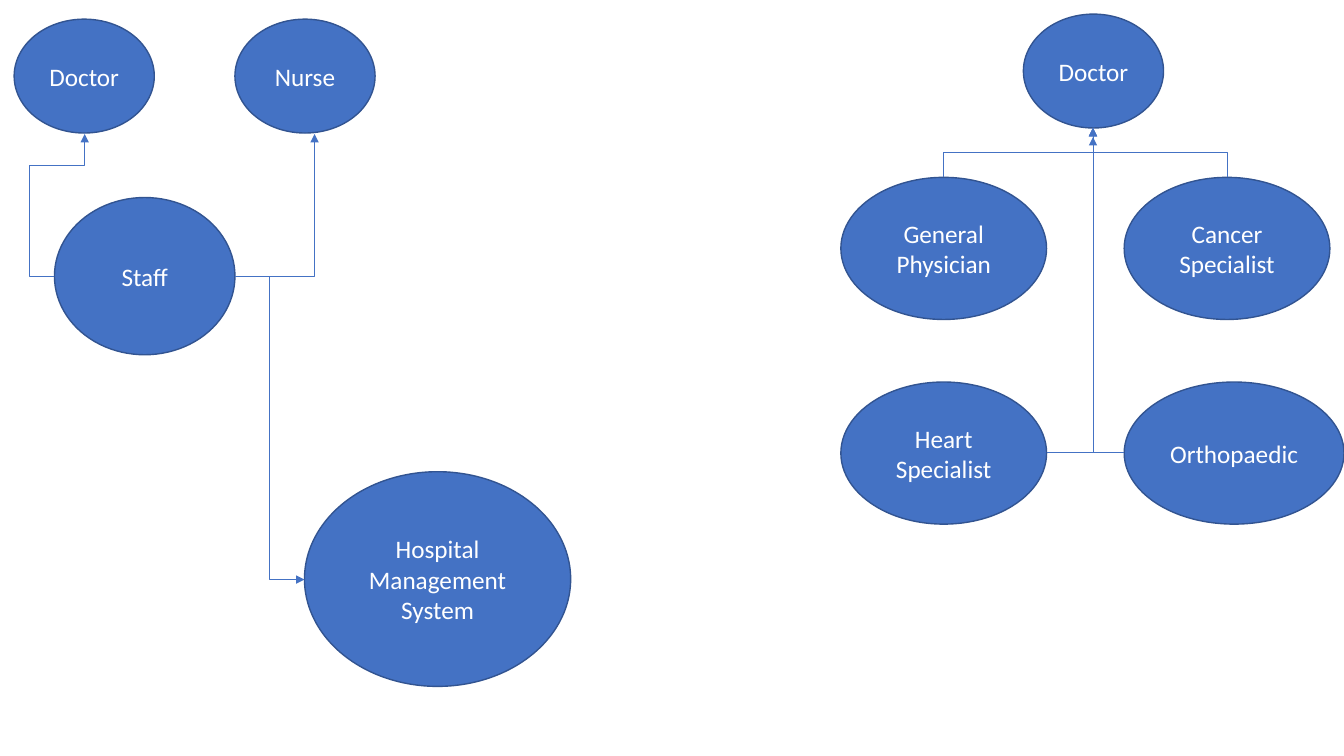
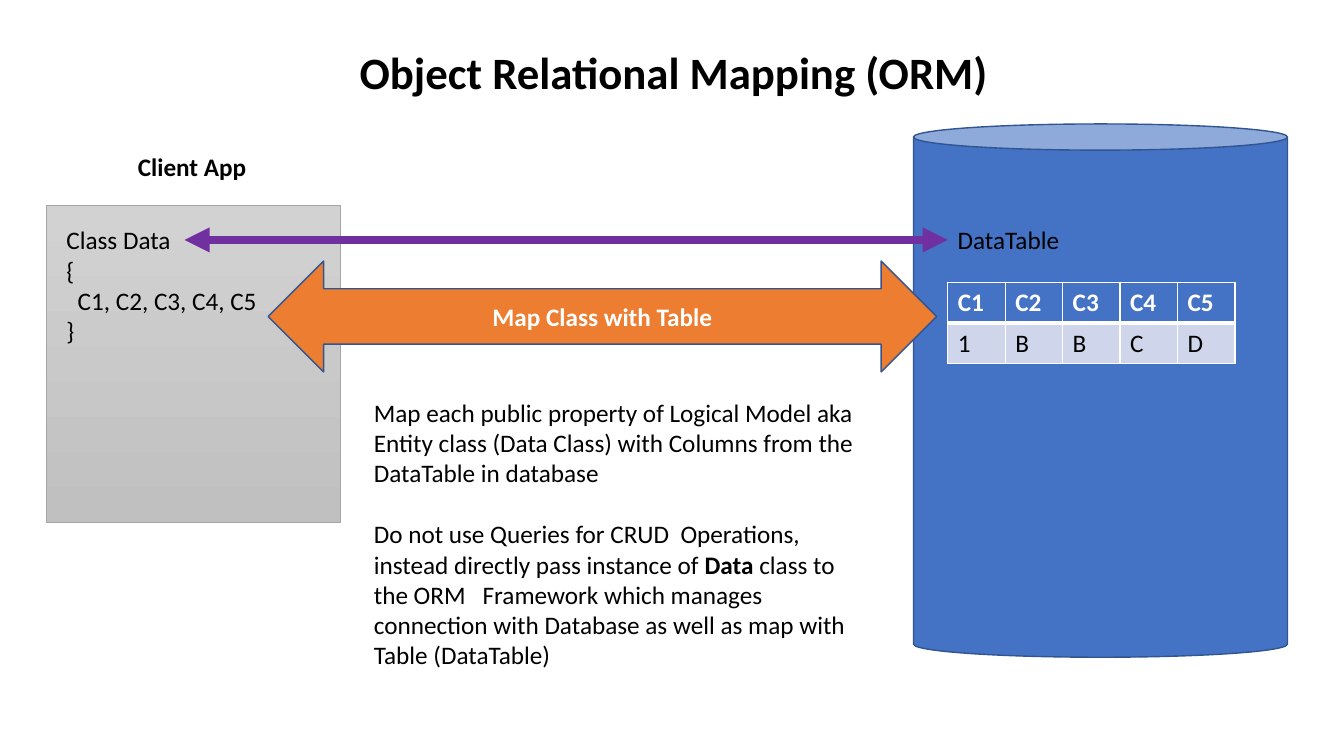
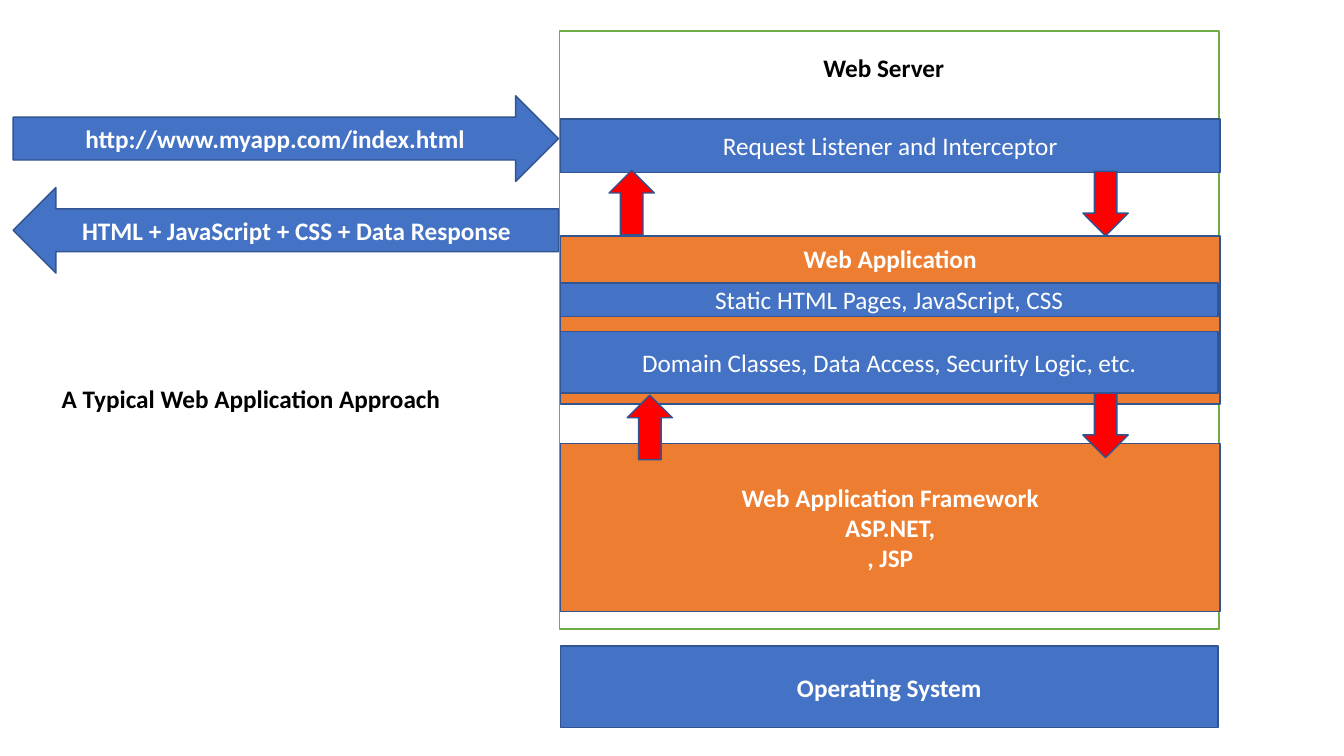
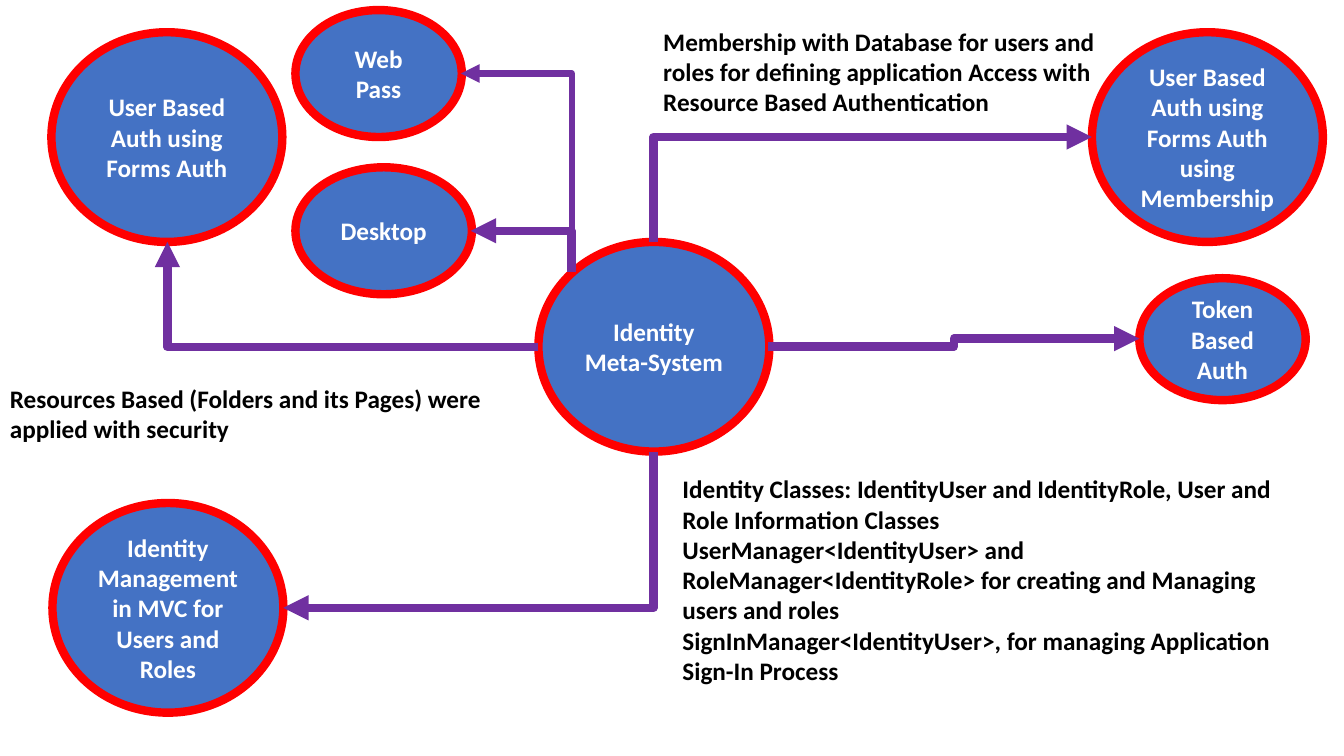
from dataclasses import dataclass
from typing import NamedTuple, Sequence, Union

from lxml import etree
from pptx import Presentation
from pptx import util as u
from pptx.dml import color as c
from pptx.enum import shapes as s
from pptx.enum import text as t
from pptx.oxml import ns

PX = 9144  # EMU in one px, 100 px to the inch
KIND = s.MSO_SHAPE


@dataclass(frozen=True)
class Theme:
    font: str = "Calibri"
    body: int = 18
    title: int = 32
    paragraph_gap: int = 22
    white: str = "FFFFFF"
    black: str = "000000"
    blue: str = "4472C4"
    navy: str = "325491"
    orange: str = "ED7D31"
    red: str = "FF0000"
    green: str = "70AD47"
    purple: str = "7030A0"
    gray: str = "A5A5A5"
    gray_light: str = "D2D2D2"
    gray_dark: str = "C0C0C0"
    row_tint: str = "CFD5EA"


THEME = Theme()


class Box(NamedTuple):
    left: int
    top: int
    width: int
    height: int


class Run(NamedTuple):
    text: str
    bold: bool = False


Paragraph = Union[str, Sequence[Run]]
Point = tuple[int, int]


@dataclass(frozen=True)
class Node:
    """A preset shape with optional centred text."""
    box: Box
    lines: Sequence[Paragraph] = ()
    kind: KIND = KIND.RECTANGLE
    fill: str = THEME.blue
    line: str = THEME.navy
    weight: float = 1
    bold: bool = False


@dataclass(frozen=True)
class Label:
    """A plain text box."""
    box: Box
    lines: Sequence[Paragraph]
    bold: bool = True
    size: int = THEME.body
    align: t.PP_ALIGN = t.PP_ALIGN.LEFT
    gap: int = 0


@dataclass(frozen=True)
class Elbow:
    """A bent connector through its corner points, arrow at the end."""
    points: Sequence[Point]
    line: str = THEME.purple
    weight: float = 6


# Shared drawing functions

def rgb(value: str) -> c.RGBColor:
    return c.RGBColor.from_string(value)


def emu(box: Box) -> list[int]:
    return [length * PX for length in box]


def write(frame, lines: Sequence[Paragraph], *, color: str = THEME.black,
          bold: bool = False, size: int = THEME.body,
          align: t.PP_ALIGN = t.PP_ALIGN.LEFT, gap: int = 0) -> None:
    for index, line in enumerate(lines):
        paragraph = frame.add_paragraph() if index else frame.paragraphs[0]
        paragraph.alignment = align
        if index and gap:
            paragraph.space_before = u.Pt(gap)
        for part in [Run(line, bold)] if isinstance(line, str) else line:
            run = paragraph.add_run()
            run.text = part.text
            run.font.name = THEME.font
            run.font.size = u.Pt(size)
            run.font.bold = part.bold
            run.font.color.rgb = rgb(color)


def draw_node(slide, node: Node):
    shape = slide.shapes.add_shape(node.kind, *emu(node.box))
    shape.shadow.inherit = False
    shape.fill.solid()
    shape.fill.fore_color.rgb = rgb(node.fill)
    shape.line.color.rgb = rgb(node.line)
    shape.line.width = u.Pt(node.weight)
    shape.text_frame.word_wrap = True
    write(shape.text_frame, node.lines, color=THEME.white, bold=node.bold,
          align=t.PP_ALIGN.CENTER)
    return shape


def draw_label(slide, label: Label):
    shape = slide.shapes.add_textbox(*emu(label.box))
    shape.text_frame.word_wrap = True
    shape.text_frame.auto_size = t.MSO_AUTO_SIZE.SHAPE_TO_FIT_TEXT
    write(shape.text_frame, label.lines, bold=label.bold, size=label.size,
          align=label.align, gap=label.gap)
    return shape


def style_connector(connector, color: str, weight: float,
                    ends: Sequence[str] = ("tailEnd",)) -> None:
    connector.line.color.rgb = rgb(color)
    connector.line.width = u.Pt(weight)
    properties = connector.element.spPr
    outline = properties.find(ns.qn("a:ln"))
    for end in ends:
        etree.SubElement(outline, ns.qn(f"a:{end}"), type="triangle")
    etree.SubElement(properties, ns.qn("a:effectLst"))


def draw_elbow(slide, elbow: Elbow) -> None:
    points = elbow.points
    (x1, y1), (x2, y2) = points[0], points[-1]
    dx, dy = x2 - x1, y2 - y1
    upright = points[0][0] == points[1][0]
    # A path that starts vertically is a horizontal one turned by 90 degrees
    if upright:
        width, height, turn = abs(dy), abs(dx), 90
        flip_h, flip_v = dy < 0, dx > 0
    else:
        width, height, turn = abs(dx), abs(dy), 0
        flip_h, flip_v = dx < 0, dy < 0
    if dx < 0 and dy < 0:
        turn, flip_h, flip_v = turn + 180, not flip_h, not flip_v

    left = (x1 + x2 - width) * PX // 2
    top = (y1 + y2 - height) * PX // 2
    connector = slide.shapes.add_connector(
        s.MSO_CONNECTOR.ELBOW, left, top, left + width * PX, top + height * PX)
    properties = connector.element.spPr
    frame = properties.find(ns.qn("a:xfrm"))
    for name, value in (("rot", turn * 60000), ("flipH", int(flip_h)),
                        ("flipV", int(flip_v))):
        if value:
            frame.set(name, str(value))

    # Each inner corner beyond the first gives one adjustment
    geometry = properties.find(ns.qn("a:prstGeom"))
    geometry.set("prst", f"bentConnector{len(points) - 1}")
    guides = geometry.find(ns.qn("a:avLst"))
    if guides is None:
        guides = etree.SubElement(geometry, ns.qn("a:avLst"))
    for index in range(1, len(points) - 2):
        axis = (index - 1 + upright) % 2
        start, end = points[0][axis], points[-1][axis]
        ratio = round((points[index][axis] - start) / (end - start) * 100000)
        # The second guide is measured at the following corner
        if index == 2:
            ratio = round((points[2][axis] - start) / (end - start) * 100000)
        etree.SubElement(guides, ns.qn("a:gd"), name=f"adj{index}",
                         fmla=f"val {ratio}")
    style_connector(connector, elbow.line, elbow.weight)


def draw_all(slide, items: Sequence[Union[Node, Label, Elbow]]) -> None:
    painters = {Node: draw_node, Label: draw_label, Elbow: draw_elbow}
    for item in items:
        painters[type(item)](slide, item)


def draw_table(slide, box: Box, rows: Sequence[Sequence[str]]) -> None:
    table = slide.shapes.add_table(len(rows), len(rows[0]), *emu(box)).table
    table.horz_banding = False
    for row_index, row in enumerate(rows):
        header = row_index == 0
        edges = {"lnL": 1, "lnR": 1}
        edges.update({"lnT": 1, "lnB": 3} if header else {"lnB": 1})
        for column_index, value in enumerate(row):
            cell = table.cell(row_index, column_index)
            write(cell.text_frame, [value], bold=header,
                  color=THEME.white if header else THEME.black)
            properties = cell._tc.get_or_add_tcPr()
            for edge, weight in edges.items():
                border = etree.SubElement(properties, ns.qn(f"a:{edge}"),
                                          w=str(u.Pt(weight)))
                solid = etree.SubElement(border, ns.qn("a:solidFill"))
                etree.SubElement(solid, ns.qn("a:srgbClr"), val=THEME.white)
            cell.fill.solid()
            cell.fill.fore_color.rgb = rgb(
                THEME.blue if header else THEME.row_tint)


# Slides

def hospital_slide(slide) -> None:
    def oval(box: Box, *lines: str) -> Node:
        return Node(box, lines, KIND.OVAL)

    def link(*points: Point) -> Elbow:
        return Elbow(points, THEME.blue, 0.5)

    draw_all(slide, [
        # Staff roles
        oval(Box(302, 468, 264, 213), "Hospital", "Management", "System"),
        oval(Box(54, 196, 179, 156), "Staff"),
        link((233, 274), (267, 274), (267, 575), (302, 575)),
        oval(Box(14, 19, 139, 113), "Doctor"),
        oval(Box(233, 19, 139, 113), "Nurse"),
        link((54, 274), (29, 274), (29, 164), (84, 164), (84, 133)),
        link((233, 274), (312, 274), (312, 133)),
        # Doctor specialities
        oval(Box(1015, 14, 139, 113), "Doctor"),
        oval(Box(834, 176, 204, 141), "General", "Physician"),
        oval(Box(1115, 176, 204, 141), "Cancer Specialist"),
        oval(Box(834, 379, 204, 141), "Heart Specialist"),
        oval(Box(1115, 379, 218, 141), "Orthopaedic"),
        link((936, 176), (936, 151), (1084, 151), (1084, 127)),
        link((1217, 176), (1217, 151), (1084, 151), (1084, 127)),
        link((1038, 449), (1084, 449), (1084, 127)),
        link((1115, 449), (1084, 449), (1084, 136)),
    ])


def mapping_slide(slide) -> None:
    centre = t.PP_ALIGN.CENTER
    draw_label(slide, Label(Box(50, 39, 1237, 64),
                            ["Object Relational Mapping (ORM)"],
                            size=THEME.title, align=centre))

    # Database
    database = draw_node(slide, Node(Box(906, 123, 371, 529), kind=KIND.CAN))
    database.adjustments[0] = 0.07
    draw_table(slide, Box(940, 280, 285, 81),
               [["C1", "C2", "C3", "C4", "C5"], ["1", "B", "B", "C", "D"]])
    table_name = draw_label(slide, Label(Box(940, 218, 285, 40),
                                         ["DataTable"], bold=False))

    # Client application
    client = draw_node(slide, Node(Box(46, 204, 292, 314),
                                   line=THEME.gray, weight=0.5))
    client.fill.gradient()
    client.fill.gradient_angle = 270
    for stop, color in zip(client.fill.gradient_stops,
                           (THEME.gray_light, THEME.gray_dark)):
        stop.color.rgb = rgb(color)
    draw_all(slide, [
        Label(Box(56, 218, 272, 131),
              ["Class Data", "{", "  C1, C2, C3, C4, C5", "}"], bold=False),
        Label(Box(56, 145, 269, 40), ["Client App"], align=centre),
        Node(Box(266, 259, 663, 110), ["Map Class with Table"],
             KIND.LEFT_RIGHT_ARROW, THEME.orange, bold=True),
        Label(Box(361, 389, 497, 283), [
            "Map each public property of Logical Model aka Entity class "
            "(Data Class) with Columns from the DataTable in database",
            [Run("Do not use Queries for CRUD  Operations, instead directly "
                 "pass instance of "),
             Run("Data ", True),
             Run("class to the ORM   Framework which manages connection with "
                 "Database as well as map with Table (DataTable)")],
        ], bold=False, gap=THEME.paragraph_gap),
    ])

    # Class to table link
    link = slide.shapes.add_connector(s.MSO_CONNECTOR.STRAIGHT, 183 * PX,
                                      238 * PX, 940 * PX, 238 * PX)
    link.end_connect(table_name, 1)
    style_connector(link, THEME.purple, 6, ("headEnd", "tailEnd"))


def web_server_slide(slide) -> None:
    centre = t.PP_ALIGN.CENTER
    draw_all(slide, [
        Node(Box(555, 31, 654, 593), fill=THEME.white, line=THEME.green),
        Label(Box(572, 47, 609, 40), ["Web Server"], align=centre),
        Node(Box(556, 641, 652, 81), ["Operating System"], bold=True),
        Node(Box(556, 440, 654, 167),
             ["Web Application Framework", "ASP.NET,", ", JSP"],
             fill=THEME.orange, bold=True),
    ])
    application = draw_node(slide, Node(Box(556, 234, 654, 167),
                                        ["Web Application"],
                                        fill=THEME.orange, bold=True))
    application.text_frame.vertical_anchor = t.MSO_ANCHOR.TOP
    application.text_frame.margin_top = 7 * PX

    # Layers inside the server
    draw_all(slide, [
        Node(Box(556, 281, 652, 33), ["Static HTML Pages, JavaScript, CSS"]),
        Node(Box(556, 329, 652, 61),
             ["Domain Classes, Data Access, Security Logic, etc."]),
        Node(Box(556, 118, 654, 53), ["Request Listener and Interceptor"]),
        Node(Box(13, 95, 541, 85), ["http://www.myapp.com/index.html"],
             KIND.RIGHT_ARROW, bold=True),
    ])
    # Calls down and answers up
    for left, top, kind in ((1074, 170, KIND.DOWN_ARROW),
                            (1074, 390, KIND.DOWN_ARROW),
                            (622, 392, KIND.UP_ARROW),
                            (604, 169, KIND.UP_ARROW)):
        draw_node(slide, Node(Box(left, top, 45, 64), kind=kind,
                              fill=THEME.red))
    draw_all(slide, [
        Node(Box(13, 186, 541, 85), ["HTML + JavaScript + CSS + Data Response"],
             KIND.LEFT_ARROW, bold=True),
        Label(Box(31, 375, 436, 40), ["A Typical Web Application Approach"],
              align=centre),
    ])


def identity_slide(slide) -> None:
    def oval(box: Box, *lines: str) -> Node:
        return Node(box, lines, KIND.OVAL, line=THEME.red, weight=6, bold=True)

    def large(left: int, top: int, *lines: str) -> Node:
        return oval(Box(left, top, 229, 208), *lines)

    draw_all(slide, [
        large(534, 240, "Identity Meta-System"),
        # Early approaches
        large(51, 32, "User Based Auth using", "Forms Auth"),
        Elbow([(534, 344), (166, 344), (166, 240)]),
        oval(Box(293, 10, 165, 126), "Web Pass"),
        oval(Box(293, 166, 175, 126), "Desktop"),
        Elbow([(567, 270), (567, 73), (457, 73)], weight=4.5),
        Elbow([(567, 270), (567, 229), (467, 229)]),
        Label(Box(0, 375, 519, 71),
              ["Resources Based (Folders and its Pages) were applied with "
               "security"]),
        # Membership
        large(1083, 32, "User Based Auth using", "Forms Auth using Membership"),
        Elbow([(648, 240), (648, 136), (1083, 136)]),
        Label(Box(648, 21, 460, 101),
              ["Membership with Database for users and roles for defining "
               "application Access with Resource Based Authentication"]),
        # Identity classes
        large(52, 499, "Identity Management in MVC for Users and Roles"),
        Elbow([(648, 448), (648, 603), (281, 603)]),
        Label(Box(667, 465, 632, 222), [
            "Identity Classes: IdentityUser and IdentityRole, User and Role "
            "Information Classes",
            "UserManager<IdentityUser> and RoleManager<IdentityRole> for "
            "creating and Managing users and roles",
            "SignInManager<IdentityUser>, for managing Application Sign-In "
            "Process"]),
        # Tokens
        oval(Box(1130, 276, 165, 121), "Token Based Auth"),
        Elbow([(762, 344), (946, 344), (946, 336), (1130, 336)]),
    ])


def main() -> None:
    presentation = Presentation()
    presentation.slide_width = 1333 * PX
    presentation.slide_height = 750 * PX
    blank = presentation.slide_layouts[6]
    for build in (hospital_slide, mapping_slide, web_server_slide,
                  identity_slide):
        build(presentation.slides.add_slide(blank))
    presentation.save("out.pptx")


if __name__ == "__main__":
    main()
